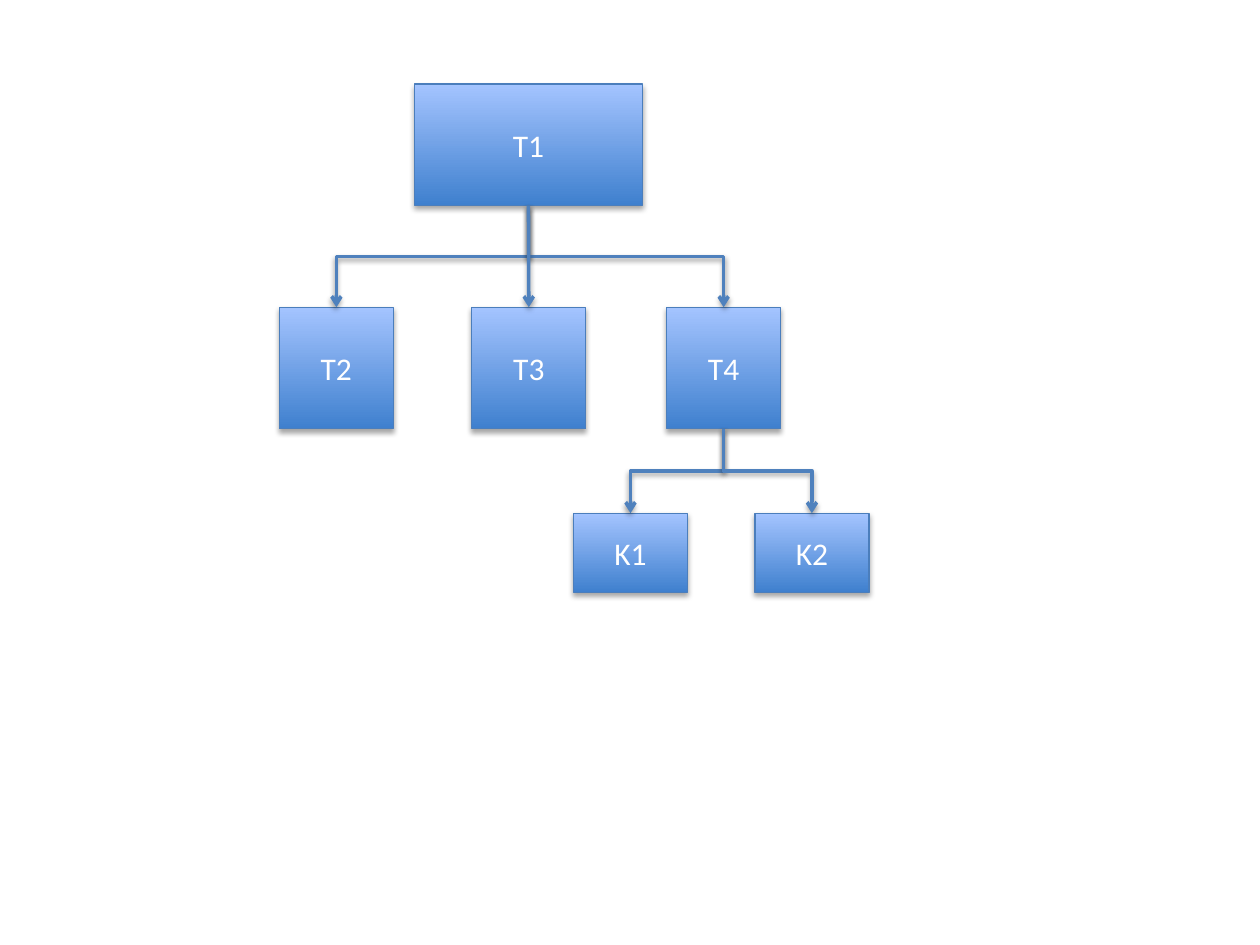
from pptx import Presentation
from pptx.dml.color import RGBColor
from pptx.enum.shapes import MSO_CONNECTOR, MSO_SHAPE
from pptx.enum.text import MSO_ANCHOR, PP_ALIGN
from pptx.oxml import parse_xml
from pptx.oxml.ns import nsdecls, qn
from pptx.util import Pt

THEME = {
    "gradient": ("3F80CE", "A4C4FF"),
    "outline": "4B7EBC",
    "arrow": "4F81BD",
    "shadow": "000000",
    "font": {"name": "Calibri", "size": Pt(18)},
    "text": "FFFFFF",
    "outline_width": Pt(0.75),
    "arrow_width": Pt(2),
}


def style_line(shape, color, width):
    """Give an outline or a connector its colour and width."""
    shape.line.color.rgb = RGBColor.from_string(color)
    shape.line.width = width


def add_shadow(shape, distance, opacity):
    """Add a soft shadow that falls straight down."""
    shape.element.spPr.append(parse_xml(
        f'<a:effectLst {nsdecls("a")}><a:outerShdw blurRad="{Pt(3.1)}" '
        f'dist="{Pt(distance)}" dir="5400000" rotWithShape="0">'
        f'<a:srgbClr val="{THEME["shadow"]}"><a:alpha val="{opacity * 1000}"/>'
        '</a:srgbClr></a:outerShdw></a:effectLst>'))


deck = Presentation()
deck.slide_width, deck.slide_height = Pt(720), Pt(540)
page = deck.slides.add_slide(deck.slide_layouts[6])

# Each row: top, height, box width, then the centre of each named box
rows = [
    (48, 69.5, 130, {"T1": 302}),
    (175.6, 69.5, 65.2, {"T2": 192.2, "T3": 302.2, "T4": 413.5}),
    (293.3, 45.3, 65.2, {"K1": 360.3, "K2": 464}),
]
boxes = {}
for top, height, width, centres in rows:
    for label, centre in centres.items():
        box = page.shapes.add_shape(
            MSO_SHAPE.RECTANGLE, Pt(centre - width / 2), Pt(top), Pt(width), Pt(height))
        box.fill.gradient()
        box.fill.gradient_angle = 90
        for stop, color, position in zip(box.fill.gradient_stops, THEME["gradient"], (0, 1)):
            stop.color.rgb = RGBColor.from_string(color)
            stop.position = position
        style_line(box, THEME["outline"], THEME["outline_width"])
        add_shadow(box, 1.8, 35)

        box.text_frame.vertical_anchor = MSO_ANCHOR.MIDDLE
        para = box.text_frame.paragraphs[0]
        para.alignment = PP_ALIGN.CENTER
        span = para.add_run()
        span.text = label
        for key, value in THEME["font"].items():
            setattr(span.font, key, value)
        span.font.color.rgb = RGBColor.from_string(THEME["text"])
        boxes[label] = box

links = [("T1", "T2", "elbow"), ("T1", "T4", "elbow"), ("T1", "T3", "straight"),
         ("T4", "K1", "elbow"), ("T4", "K2", "elbow")]
for parent, child, style in links:
    kind = MSO_CONNECTOR.ELBOW if style == "elbow" else MSO_CONNECTOR.STRAIGHT
    arrow = page.shapes.add_connector(kind, 0, 0, 0, 0)
    arrow.begin_connect(boxes[parent], 2)
    arrow.end_connect(boxes[child], 0)
    if style == "elbow":
        # A quarter turn makes the elbow leave downwards, so its sides swap
        across, down = arrow.width, arrow.height
        to_right = arrow.end_x > arrow.begin_x
        frame = {"left": arrow.left + (across - down) // 2,
                 "top": arrow.top + (down - across) // 2,
                 "width": down, "height": across}
        for key, value in frame.items():
            setattr(arrow, key, value)
        transform = arrow.element.spPr.find(qn("a:xfrm"))
        transform.set("rot", "16200000" if to_right else "5400000")
        transform.set("flipH", "1" if to_right else "0")
    style_line(arrow, THEME["arrow"], THEME["arrow_width"])
    arrow.element.spPr.find(qn("a:ln")).append(
        parse_xml(f'<a:tailEnd {nsdecls("a")} type="arrow"/>'))
    add_shadow(arrow, 1.6, 38)

deck.save("out.pptx")
